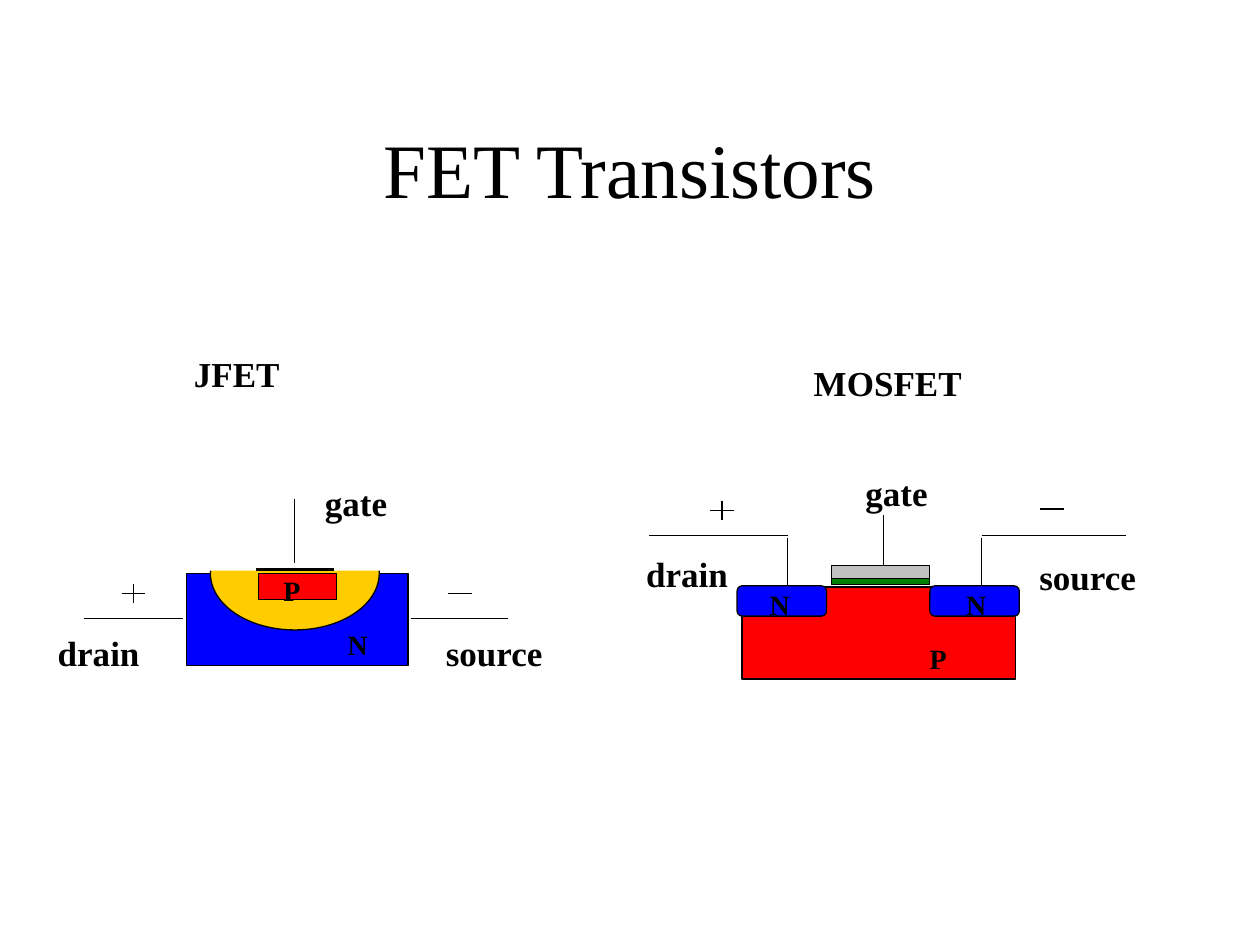
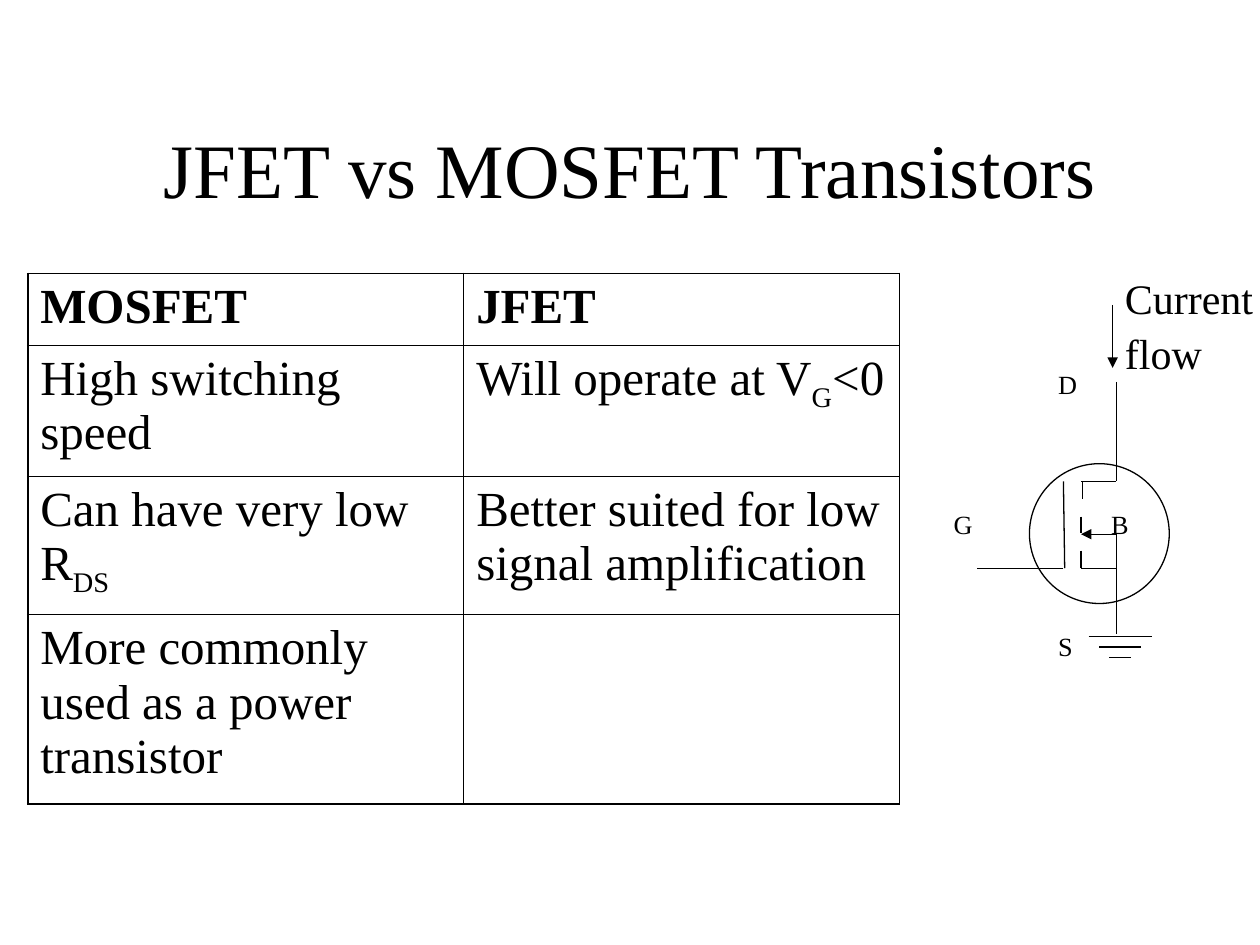
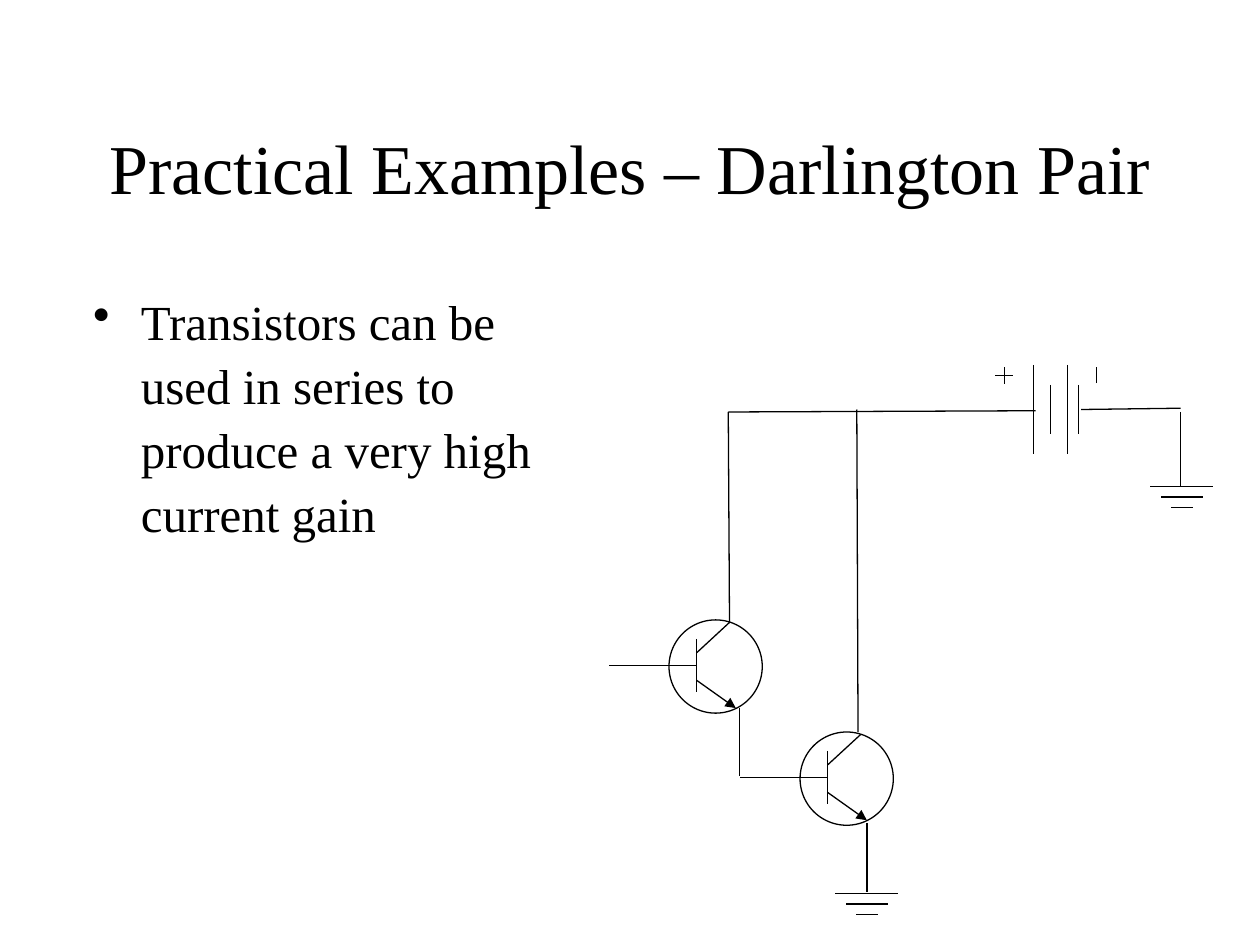
from lxml import etree
from pptx import Presentation
from pptx import util as u
from pptx.dml.color import RGBColor
from pptx.enum import shapes, text
from pptx.oxml.ns import qn

COLUMNS, ROWS = 10, 7.5
UNIT = u.Inches(1)

THEME = {
    "font": "Times New Roman",
    "ink": "000000", "paper": "FFFFFF",
    "n": "0000FF", "p": "FF0000", "depletion": "FFCC00",
    "metal": "C0C0C0", "oxide": "008000",
    "title": 44, "long title": 40, "body": 28, "flow": 24,
    "terminal": 20, "region": 16, "pin": 15,
    "thin": 0.75, "thick": 2, "outer": 1.08, "inner": 0.45,
    "leading": 1.09,
}
KINDS = {
    "rect": shapes.MSO_SHAPE.RECTANGLE,
    "round": shapes.MSO_SHAPE.ROUNDED_RECTANGLE,
    "ellipse": shapes.MSO_SHAPE.OVAL,
}
LABEL_HEIGHT = {"terminal": 0.44, "region": 0.37, "pin": 0.35}

JFET = {
    "regions": [
        ("rect", (1.48, 4.55, 1.76, 0.73), "n", "ink"),
        ("ellipse", (1.67, 4.1, 1.34, 0.9), "depletion", "ink"),
        ("rect", (1.65, 4, 1.46, 0.53), "paper", None),
        ("rect", (2.05, 4.55, 0.62, 0.21), "p", "ink"),
    ],
    "leads": [(3.26, 4.91, 4.03, 4.91), (0.67, 4.91, 1.45, 4.91), (2.34, 3.96, 2.34, 4.47)],
    "plus": (1.06, 4.71), "minus": (3.65, 4.71),
    "labels": [
        ("JFET", 1.44, 2.72, "terminal"), ("gate", 2.48, 3.74, "terminal"),
        ("drain", 0.36, 4.93, "terminal"), ("source", 3.44, 4.93, "terminal"),
        ("P", 2.15, 4.48, "region"), ("N", 2.66, 4.91, "region"),
    ],
}
MOSFET = {
    "regions": [
        ("rect", (5.89, 4.66, 2.17, 0.73), "p", "ink"),
        ("round", (7.38, 4.65, 0.71, 0.24), "n", "ink"),
        ("round", (5.85, 4.65, 0.71, 0.24), "n", "ink"),
        ("rect", (6.6, 4.49, 0.78, 0.14), "metal", "ink"),
        ("rect", (6.6, 4.59, 0.78, 0.05), "oxide", "ink"),
    ],
    "leads": [
        (7.79, 4.25, 8.94, 4.25), (5.15, 4.25, 6.25, 4.25), (7.01, 4.09, 7.01, 4.49),
        (7.79, 4.27, 7.79, 4.65), (6.25, 4.27, 6.25, 4.65),
    ],
    "plus": (5.73, 4.05), "minus": (8.35, 4.04),
    "labels": [
        ("MOSFET", 6.36, 2.79, "terminal"), ("gate", 6.77, 3.66, "terminal"),
        ("drain", 5.03, 4.31, "terminal"), ("source", 8.15, 4.33, "terminal"),
        ("P", 7.28, 5.02, "region"), ("N", 7.57, 4.59, "region"), ("N", 6.01, 4.59, "region"),
    ],
}

COMPARISON = [
    [["MOSFET"], ["JFET"]],
    [["High switching speed"], ["Will operate at V", "G", "<0"]],
    [["Can have very low R", "DS"], ["Better suited for low signal amplification"]],
    [["More commonly used as a power transistor"], []],
]
ROW_HEIGHTS = [0.57, 1.04, 1.1, 1.5]
COLUMN_WIDTH = 3.46

PINS = [("D", 8.3, 2.85), ("G", 7.47, 3.96), ("B", 8.72, 3.96), ("S", 8.3, 4.93)]
SYMBOL_LINES = [
    (8.44, 3.82, 8.45, 4.51), (8.44, 4.51, 7.75, 4.51), (8.58, 4.51, 8.86, 4.51),
    (8.59, 3.82, 8.59, 3.96), (8.58, 4.1, 8.58, 4.23), (8.58, 4.37, 8.58, 4.51),
    (8.58, 3.82, 8.86, 3.82), (8.86, 3.03, 8.86, 3.82), (8.86, 4.24, 8.86, 5.03),
]
SYMBOL_ARROWS = [(8.83, 2.42, 8.83, 2.92), (8.86, 4.24, 8.58, 4.24)]

DARLINGTON_TEXT = "Transistors can be used in series to produce a very high current gain"
DARLINGTON_WIRES = [
    (5.78, 3.27, 8.22, 3.26), (5.78, 3.27, 5.79, 4.94), (6.8, 3.25, 6.81, 5.81),
    (5.87, 5.62, 5.87, 6.16), (6.88, 6.53, 6.88, 7.08),
    (8.58, 3.25, 9.37, 3.24), (9.37, 3.27, 9.37, 3.86), (8.7, 3.04, 8.7, 2.91),
]
BATTERY_PLATES = [(8.2, 0.71), (8.34, 0.39), (8.47, 0.71), (8.56, 0.39)]
BATTERY_MIDDLE = 3.25


def color(name):
    return RGBColor.from_string(THEME[name])


def apply(target, **values):
    for name, value in values.items():
        setattr(target, name, value)


def place(*lengths):
    return [u.Emu(round(length * UNIT)) for length in lengths]


def write(para, content, size, bold=False):
    pieces = [content] if isinstance(content, str) else content
    for index, piece in enumerate(pieces):
        span = para.add_run()
        span.text = piece
        apply(span.font, name=THEME["font"], size=u.Pt(THEME[size]), bold=bold)
        span.font.color.rgb = color("ink")
        if index % 2:
            span.font._element.set("baseline", "-25000")


def add_text(page, content, area, size, bold=False, **frame_values):
    box = page.shapes.add_textbox(*place(*area))
    apply(box.text_frame, word_wrap=True, **frame_values)
    para = box.text_frame.paragraphs[0]
    para.line_spacing = THEME["leading"]
    write(para, content, size, bold)
    return para


def add_region(page, kind, area, fill=None, line="ink"):
    region = page.shapes.add_shape(KINDS[kind], *place(*area))
    region.shadow.inherit = False
    if fill:
        region.fill.solid()
        region.fill.fore_color.rgb = color(fill)
    else:
        region.fill.background()
    if line:
        region.line.color.rgb = color(line)
        region.line.width = u.Pt(THEME["thin"])
    else:
        region.line.fill.background()


def add_line(page, ends, width="thin", arrow=False):
    wire = page.shapes.add_connector(shapes.MSO_CONNECTOR.STRAIGHT, *place(*ends))
    wire.line.color.rgb = color("ink")
    wire.line.width = u.Pt(THEME[width])
    if arrow:
        etree.SubElement(wire.line._get_or_add_ln(), qn("a:tailEnd"), type="triangle")
    etree.SubElement(wire._element.spPr, qn("a:effectLst"))


def add_minus(page, x, y, width=0.19):
    add_line(page, (x - width / 2, y, x + width / 2, y))


def add_plus(page, x, y, width=0.19, height=0.15):
    add_minus(page, x, y, width)
    add_line(page, (x, y - height / 2, x, y + height / 2))


def add_ground(page, x, y):
    for step, width in enumerate((0.5, 0.33, 0.17)):
        add_minus(page, x, y + step * 0.085, width)


def add_transistor(page, x, y):
    add_region(page, "ellipse", (x, y, 0.74, 0.74))
    base = x + 0.22
    add_line(page, (base, y + 0.36, base - 0.7, y + 0.36))
    add_line(page, (base, y + 0.15, base, y + 0.57))
    add_line(page, (base, y + 0.26, base + 0.26, y + 0.02))
    add_line(page, (base, y + 0.48, base + 0.31, y + 0.7), arrow=True)


def add_page(deck, title, size="title"):
    page = deck.slides.add_slide(deck.slide_layouts[6])
    page.background.fill.solid()
    page.background.fill.fore_color.rgb = color("paper")
    para = add_text(page, title, (0.75, 0.67, 8.5, 1.25), size,
                    vertical_anchor=text.MSO_ANCHOR.MIDDLE)
    para.alignment = text.PP_ALIGN.CENTER
    return page


def add_device(page, device):
    for region in device["regions"]:
        add_region(page, *region)
    for lead in device["leads"]:
        add_line(page, lead)
    add_plus(page, *device["plus"])
    add_minus(page, *device["minus"])
    for label, x, y, size in device["labels"]:
        width = 1.83 if label == "MOSFET" else 1.25
        add_text(page, label, (x, y, width, LABEL_HEIGHT[size]), size, bold=True)


def add_border(cell, side, width):
    border = etree.SubElement(cell._tc.get_or_add_tcPr(), qn(f"a:{side}"),
                              w=str(u.Pt(THEME[width])))
    fill = etree.SubElement(border, qn("a:solidFill"))
    etree.SubElement(fill, qn("a:srgbClr"), val=THEME["ink"])


def add_comparison(page):
    row_count, column_count = len(COMPARISON), len(COMPARISON[0])
    area = place(0.22, 2.17, COLUMN_WIDTH * column_count, sum(ROW_HEIGHTS))
    table = page.shapes.add_table(row_count, column_count, *area).table
    apply(table, first_row=False, horz_banding=False)
    for column in table.columns:
        column.width = place(COLUMN_WIDTH)[0]
    for r, (height, entries) in enumerate(zip(ROW_HEIGHTS, COMPARISON)):
        table.rows[r].height = place(height)[0]
        for c, content in enumerate(entries):
            cell = table.cell(r, c)
            edges = {"lnL": c == 0, "lnR": c == column_count - 1,
                     "lnT": r == 0, "lnB": r == row_count - 1}
            for side, is_outer in edges.items():
                add_border(cell, side, "outer" if is_outer else "inner")
            cell.fill.background()
            write(cell.text_frame.paragraphs[0], content, "body", bold=r == 0)


def build_fet(deck):
    page = add_page(deck, "FET Transistors")
    for device in (JFET, MOSFET):
        add_device(page, device)
    add_line(page, (2.03, 4.52, 2.65, 4.52), "thick")


def build_comparison(deck):
    page = add_page(deck, "JFET vs MOSFET Transistors")
    add_comparison(page)
    add_text(page, "Current flow", (8.83, 2.08, 1.17, 0.9), "flow", margin_right=0)
    add_region(page, "ellipse", (8.17, 3.68, 1.11, 1.11))
    for ends in SYMBOL_LINES:
        add_line(page, ends)
    for ends in SYMBOL_ARROWS:
        add_line(page, ends, arrow=True)
    add_ground(page, 8.89, 5.05)
    for pin, x, y in PINS:
        add_text(page, pin, (x, y, 0.97, LABEL_HEIGHT["pin"]), "pin")


def build_darlington(deck):
    page = add_page(deck, "Practical Examples – Darlington Pair", "long title")
    para = add_text(page, DARLINGTON_TEXT, (0.64, 2.22, 4.17, 4.5), "body")
    indent = place(0.38)[0]
    properties = para._p.get_or_add_pPr()
    apply_indent = {"marL": indent, "indent": -indent}
    for name, value in apply_indent.items():
        properties.set(name, str(value))
    etree.SubElement(properties, qn("a:buChar"), char="•")
    for corner in ((5.31, 4.92), (6.35, 5.81)):
        add_transistor(page, *corner)
    for ends in DARLINGTON_WIRES:
        add_line(page, ends)
    for x, height in BATTERY_PLATES:
        add_line(page, (x, BATTERY_MIDDLE - height / 2, x, BATTERY_MIDDLE + height / 2))
    add_plus(page, 7.97, 2.98, 0.14, 0.13)
    for point in ((6.88, 7.09), (9.38, 3.86)):
        add_ground(page, *point)


def main():
    deck = Presentation()
    apply(deck, slide_width=COLUMNS * UNIT, slide_height=round(ROWS * UNIT))
    for build in (build_fet, build_comparison, build_darlington):
        build(deck)
    deck.save("out.pptx")


if __name__ == "__main__":
    main()
